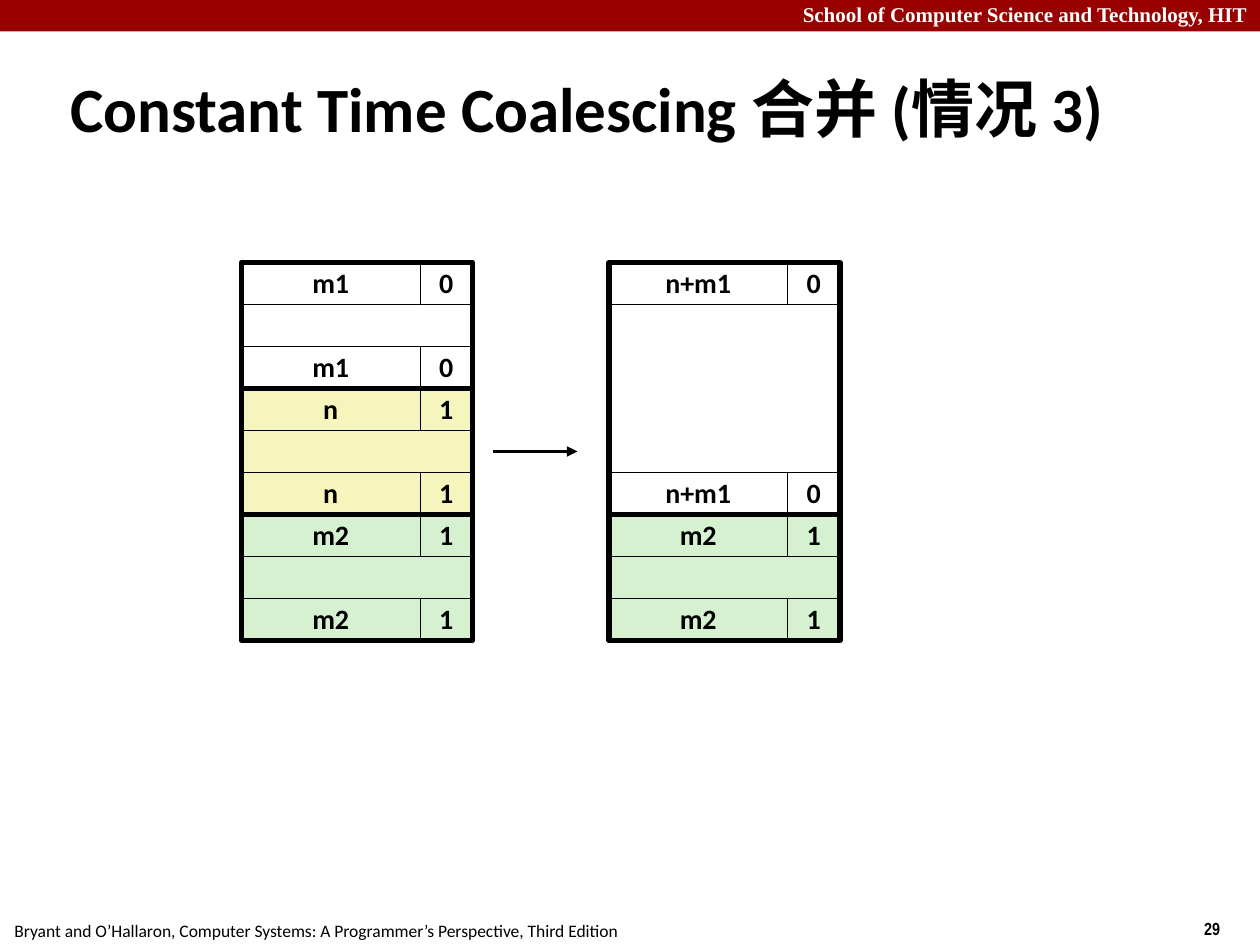
from pptx import Presentation
from pptx.dml.color import RGBColor
from pptx.enum.shapes import MSO_CONNECTOR, MSO_SHAPE
from pptx.enum.text import MSO_ANCHOR, MSO_AUTO_SIZE, PP_ALIGN
from pptx.oxml.ns import qn
from pptx.util import Pt
from lxml.etree import SubElement

PX = 7620  # 120 px to the inch
BLACK = RGBColor(0x00, 0x00, 0x00)
WHITE = RGBColor(0xFF, 0xFF, 0xFF)
RED = RGBColor(0x99, 0x00, 0x00)
YELLOW = RGBColor(0xF6, 0xF5, 0xBD)
GREEN = RGBColor(0xD5, 0xF1, 0xCF)

prs = Presentation()
prs.slide_width, prs.slide_height = 1200 * PX, 900 * PX
s = prs.slides.add_slide(prs.slide_layouts[5])


def add_rect(x, y, w, h, fill=None, line=None):
    """Rectangle in px; no fill or no line where the value is None."""
    sp = s.shapes.add_shape(MSO_SHAPE.RECTANGLE, x * PX, y * PX, w * PX, h * PX)
    sp.shadow.inherit = False
    if fill is None:
        sp.fill.background()
    else:
        sp.fill.solid()
        sp.fill.fore_color.rgb = fill
    if line is None:
        sp.line.fill.background()
    else:
        sp.line.color.rgb = BLACK
        sp.line.width = Pt(line)
    return sp


def write(sp, text, size, font="Calibri", color=BLACK, bold=True,
          align=PP_ALIGN.LEFT, anchor=MSO_ANCHOR.TOP, wrap=False):
    tf = sp.text_frame
    tf.word_wrap = wrap
    tf.auto_size = MSO_AUTO_SIZE.NONE
    tf.vertical_anchor = anchor
    p = tf.paragraphs[0]
    p.alignment = align
    r = p.add_run()
    r.text = text
    r.font.size = Pt(size)
    r.font.name = font
    r.font.bold = bold
    r.font.color.rgb = color


# Header band and footer
add_rect(0, 0, 1200, 30, RED)
header = s.shapes.add_textbox(0, -4 * PX, 1200 * PX, 36 * PX)
write(header, "School of Computer Science and Technology, HIT", 12,
      "Times New Roman", WHITE, align=PP_ALIGN.RIGHT, wrap=True)
number = s.shapes.add_textbox(1135 * PX, 868 * PX, 90 * PX, 32 * PX)
write(number, "29", 10, "Arial Narrow")
source = s.shapes.add_textbox(2 * PX, 870 * PX, 601 * PX, 32 * PX)
write(source, "Bryant and O’Hallaron, Computer Systems: "
      "A Programmer’s Perspective, Third Edition", 10, bold=False)

# Title
title = s.shapes.title
title.left, title.top, title.width, title.height = 55 * PX, 64 * PX, 1090 * PX, 76 * PX
write(title, "Constant Time Coalescing 合并 (情况 3)", 36,
      anchor=MSO_ANCHOR.MIDDLE, wrap=True)

# Heap blocks before and after coalescing: each has a header, a body and a footer
TOP, ROW = 250, 40
SIZE_W, BIT_W = 170, 50
BEFORE_X, AFTER_X = 230, 580
BLOCKS = [  # x, first row, rows, size, allocated bit, fill
    (BEFORE_X, 0, 3, "m1", "0", WHITE),
    (BEFORE_X, 3, 3, "n", "1", YELLOW),
    (BEFORE_X, 6, 3, "m2", "1", GREEN),
    (AFTER_X, 6, 3, "m2", "1", GREEN),
    (AFTER_X, 0, 6, "n+m1", "0", WHITE),
]
for x, first, rows, size, bit, fill in BLOCKS:
    y = TOP + first * ROW
    add_rect(x, y + ROW, SIZE_W + BIT_W, (rows - 2) * ROW, fill, 0.25)
    for tag_y in (y, y + (rows - 1) * ROW):
        for cell_x, w, text in ((x, SIZE_W, size), (x + SIZE_W, BIT_W, bit)):
            cell = add_rect(cell_x, tag_y, w, ROW, fill, 0.25)
            write(cell, text, 16, align=PP_ALIGN.CENTER, anchor=MSO_ANCHOR.MIDDLE)
            cell.text_frame.paragraphs[0].line_spacing = 0.98
    add_rect(x, y, SIZE_W + BIT_W, rows * ROW, line=3)

# Arrow from before to after
arrow = s.shapes.add_connector(MSO_CONNECTOR.STRAIGHT, 470 * PX, 430 * PX, 550 * PX, 430 * PX)
arrow.line.color.rgb = BLACK
arrow.line.width = Pt(2)
SubElement(arrow.line._get_or_add_ln(), qn("a:tailEnd"), type="triangle")
SubElement(arrow._element.spPr, qn("a:effectLst"))

prs.save("out.pptx")
